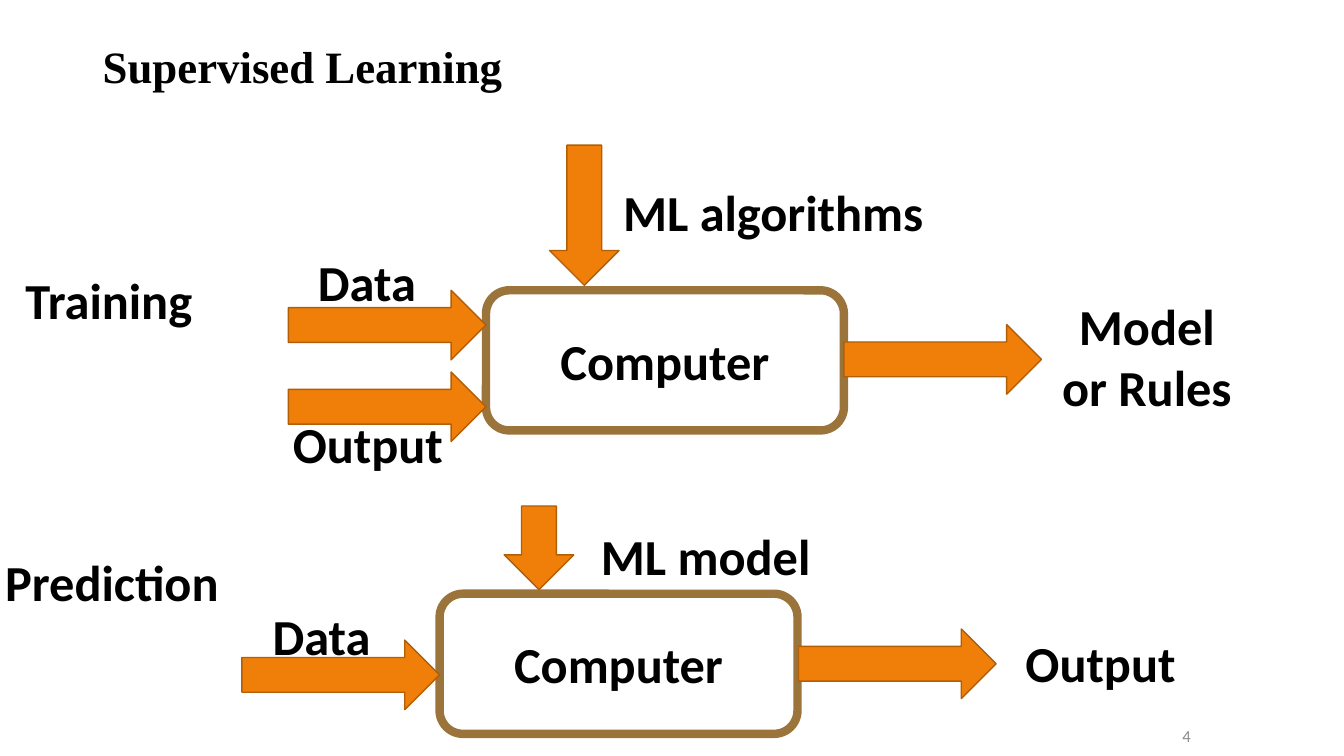
from pptx import Presentation
from pptx.dml.color import RGBColor
from pptx.enum.shapes import MSO_SHAPE
from pptx.enum.text import MSO_ANCHOR, PP_ALIGN
from pptx.util import Inches, Pt

deck = Presentation()
deck.slide_width, deck.slide_height = Inches(13.33), Inches(7.5)
slide = deck.slides.add_slide(deck.slide_layouts[6])
shapes = slide.shapes


def write(text, box, size=36, font="Calibri", color="000000", bold=True,
          align=PP_ALIGN.CENTER, anchor=MSO_ANCHOR.TOP, spacing=1.0, shape=None):
    """Put text in the given shape, or in a new text box at box."""
    shape = shape or shapes.add_textbox(*map(Inches, box))
    frame = shape.text_frame
    frame.word_wrap = True
    frame.vertical_anchor = anchor
    para = frame.paragraphs[0]
    para.alignment = align
    para.line_spacing = spacing
    run = para.add_run()
    run.text = text
    run.font.size, run.font.name, run.font.bold = Pt(size), font, bold
    run.font.color.rgb = RGBColor.from_string(color)


def draw(kind, box, line, width, fill=None, turn=0):
    shape = shapes.add_shape(kind, *map(Inches, box))
    shape.shadow.inherit = False
    shape.rotation = turn
    if fill:
        shape.fill.solid()
        shape.fill.fore_color.rgb = RGBColor.from_string(fill)
    else:
        shape.fill.background()
    shape.line.color.rgb = RGBColor.from_string(line)
    shape.line.width = Pt(width)
    return shape


write("Supervised Learning", (0.92, 0.4, 11.5, 1), size=32,
      font="Times New Roman", align=PP_ALIGN.LEFT, spacing=0.9)

# Computer boxes, one for training and one for prediction
for left, top in [(4.82, 2.88), (4.36, 5.89)]:
    node = draw(MSO_SHAPE.ROUNDED_RECTANGLE, (left, top, 3.55, 1.39), "9A743A", 6)
    write("Computer", None, anchor=MSO_ANCHOR.MIDDLE, shape=node)

# Arrows: left, top, length, rotation
arrows = [
    (2.86, 2.88, 1.96, 0), (2.86, 3.69, 1.96, 0),
    (5.1, 1.79, 1.39, 90), (8.37, 3.22, 1.96, 0),
    (2.4, 6.35, 1.96, 0), (4.93, 5.09, 0.83, 90), (7.92, 6.24, 1.96, 0),
]
for left, top, length, turn in arrows:
    draw(MSO_SHAPE.RIGHT_ARROW, (left, top, length, 0.69), "B25E07", 1,
         fill="F07F09", turn=turn)

# Labels: text, left, top, width, height
labels = [
    ("Training", -0.13, 2.62, 2.42, 0.71),
    ("Data", 2.86, 2.44, 1.56, 0.71),
    ("Output", 2.67, 4.05, 1.96, 0.71),
    ("ML algorithms", 5.69, 1.75, 3.96, 0.71),
    ("Model or Rules", 10.33, 2.88, 2.09, 1.31),
    ("Prediction", -0.1, 5.42, 2.42, 0.71),
    ("Data", 2.41, 5.95, 1.56, 0.71),
    ("ML model", 5.02, 5.16, 3.96, 0.71),
    ("Output", 9.87, 6.22, 2.09, 0.71),
]
for text, *box in labels:
    write(text, box)

write("4", (8.91, 7.1, 3, 0.4), size=12, color="8C8C8C", bold=False,
      align=PP_ALIGN.RIGHT, anchor=MSO_ANCHOR.MIDDLE)

deck.save("out.pptx")
